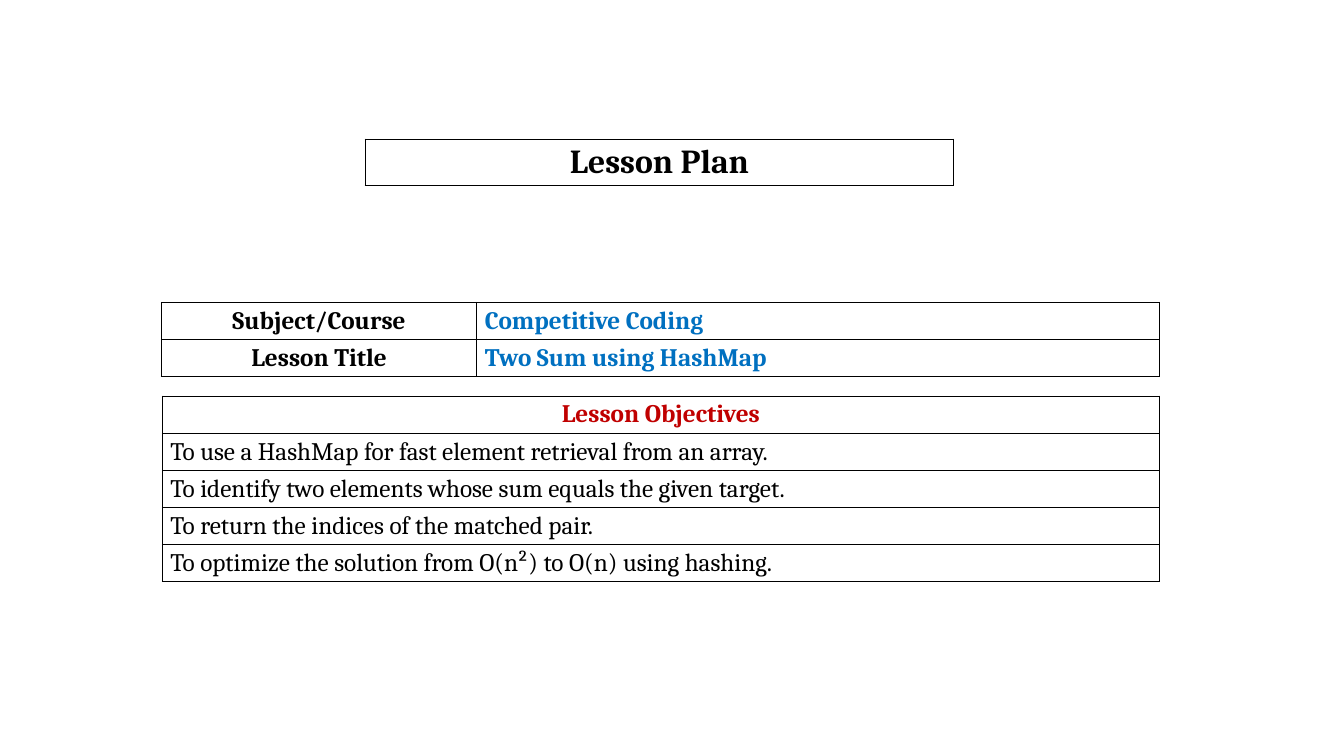
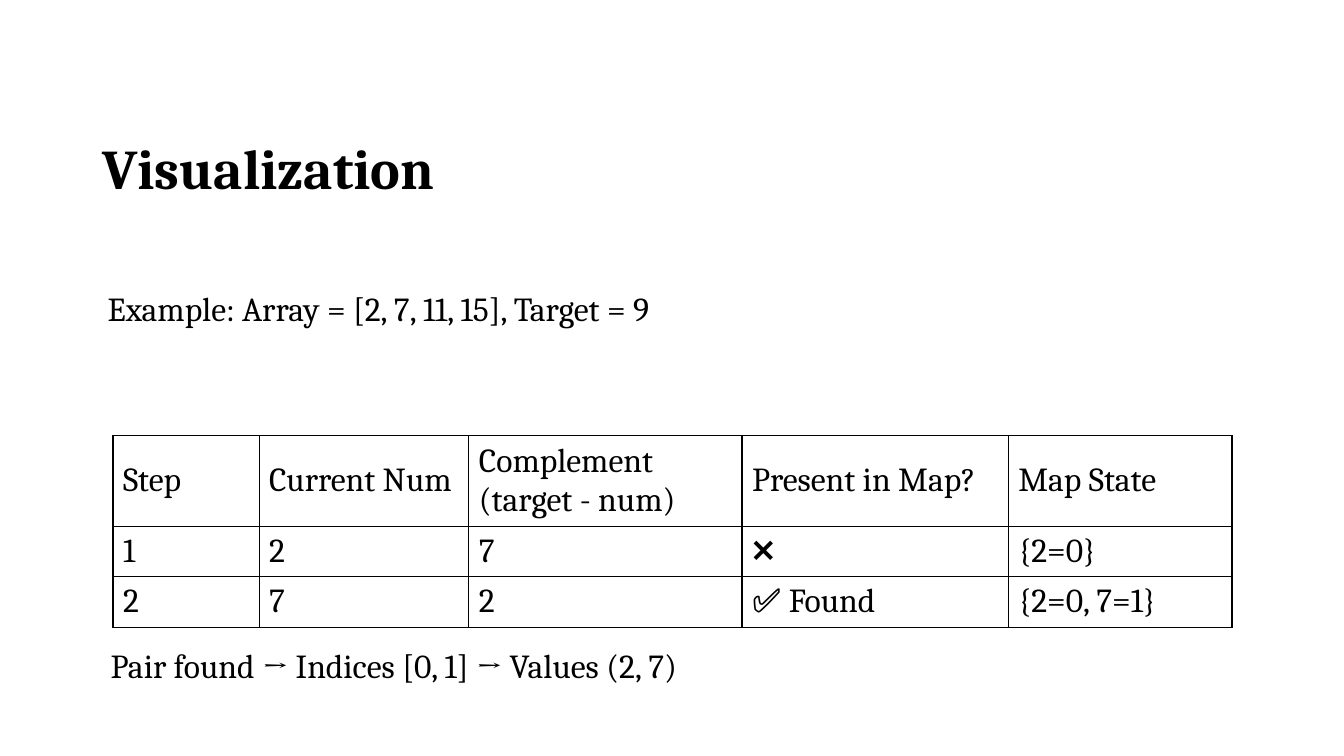
"""Build a two-slide lesson plan on solving Two Sum with a HashMap."""
from dataclasses import dataclass

from lxml.etree import SubElement
from pptx import Presentation
from pptx.dml.color import RGBColor
from pptx.enum.text import MSO_ANCHOR, PP_ALIGN
from pptx.oxml.ns import qn
from pptx.slide import Slide
from pptx.table import _Cell
from pptx.text.text import _Paragraph
from pptx.util import Inches, Pt

FONT = "Cambria"
BLACK, WHITE, BLUE, RED = "000000", "FFFFFF", "0070C0", "C00000"
FRAME_SIDE = 3.28


@dataclass(frozen=True)
class Style:
    size: float
    color: str = BLACK
    bold: bool = False
    align: PP_ALIGN = PP_ALIGN.LEFT
    line_spacing: float | None = None


@dataclass(frozen=True)
class Entry:
    text: str
    style: Style


@dataclass(frozen=True)
class Grid:
    left: float
    top: float
    widths: list[float]
    heights: list[float]
    rows: list[list[Entry]]
    border: float = 0.77
    inset: float = 0.08
    fill: str | None = WHITE


@dataclass(frozen=True)
class TextLine:
    left: float
    top: float
    width: float
    height: float
    entry: Entry
    anchor: MSO_ANCHOR = MSO_ANCHOR.TOP


BANNER = Style(24, bold=True, align=PP_ALIGN.CENTER)
LABEL = Style(18, bold=True, align=PP_ALIGN.CENTER)
TOPIC = Style(18, BLUE, bold=True)
OBJECTIVES_HEAD = Style(18, RED, bold=True, align=PP_ALIGN.CENTER)
OBJECTIVE = Style(18)
HEADING = Style(40, bold=True, line_spacing=0.9)
BODY = Style(24)

COURSE = [("Subject/Course", "Competitive Coding"),
          ("Lesson Title", "Two Sum using HashMap")]
OBJECTIVES = [
    "To use a HashMap for fast element retrieval from an array.",
    "To identify two elements whose sum equals the given target.",
    "To return the indices of the matched pair.",
    "To optimize the solution from O(n²) to O(n) using hashing.",
]
STEPS = [
    ("Step", "Current Num", "Complement (target - num)", "Present in Map?", "Map State"),
    ("1", "2", "7", "❌", "{2=0}"),
    ("2", "7", "2", "✅ Found", "{2=0, 7=1}"),
]

PLAN_GRIDS = [
    Grid(3.62, 1.38, [5.84], [0.39], [[Entry("Lesson Plan", BANNER)]]),
    Grid(1.6, 3, [3.13, 6.77], [0.18] * len(COURSE),
         [[Entry(label, LABEL), Entry(topic, TOPIC)] for label, topic in COURSE]),
    Grid(1.61, 3.93, [9.89], [0.23] * 3 + [0.35] * 2,
         [[Entry("Lesson Objectives", OBJECTIVES_HEAD)]]
         + [[Entry(goal, OBJECTIVE)] for goal in OBJECTIVES]),
]
STEP_GRID = Grid(1.12, 4.32, [1.45, 2.08, 2.71, 2.64, 2.22], [0.33] * len(STEPS),
                 [[Entry(value, BODY) for value in step] for step in STEPS],
                 border=1, inset=0.1, fill=None)
VISUAL_LINES = [
    TextLine(0.92, 0.97, 11.5, 1.45, Entry("Visualization", HEADING), MSO_ANCHOR.MIDDLE),
    TextLine(0.97, 2.81, 10.94, 0.5, Entry("Example: Array = [2, 7, 11, 15], Target = 9", BODY)),
    TextLine(1, 6.35, 10.94, 0.5, Entry("Pair found → Indices [0, 1] → Values (2, 7)", BODY)),
]


def rgb(color: str) -> RGBColor:
    """Turn a hex string into a colour."""
    return RGBColor.from_string(color)


def write(paragraph: _Paragraph, entry: Entry) -> None:
    """Put an entry into a paragraph and format it."""
    style = entry.style
    paragraph.text = entry.text
    paragraph.alignment = style.align
    paragraph.line_spacing = style.line_spacing
    for run in paragraph.runs:
        run.font.name = FONT
        run.font.size = Pt(style.size)
        run.font.bold = style.bold
        run.font.color.rgb = rgb(style.color)


def outline(cell: _Cell, width: float) -> None:
    """Draw a black border on all four sides of a cell."""
    properties = cell._tc.get_or_add_tcPr()
    for side in ("a:lnL", "a:lnR", "a:lnT", "a:lnB"):
        line = SubElement(properties, qn(side), w=str(int(Pt(width))))
        SubElement(SubElement(line, qn("a:solidFill")), qn("a:srgbClr"), val=BLACK)


def paint(cell: _Cell, color: str | None) -> None:
    """Fill a cell with a colour, or leave it clear."""
    if color is None:
        cell.fill.background()
    else:
        cell.fill.solid()
        cell.fill.fore_color.rgb = rgb(color)


def add_grid(slide: Slide, grid: Grid) -> None:
    """Add a bordered table whose rows grow to fit their text."""
    frame = slide.shapes.add_table(
        len(grid.heights), len(grid.widths), Inches(grid.left), Inches(grid.top),
        Inches(FRAME_SIDE), Inches(FRAME_SIDE))
    table = frame.table
    table.first_row = table.horz_banding = False
    for column, width in zip(table.columns, grid.widths):
        column.width = Inches(width)
    for row, height, entries in zip(table.rows, grid.heights, grid.rows):
        row.height = Inches(height)
        for cell, entry in zip(row.cells, entries):
            cell.margin_left = cell.margin_right = Inches(grid.inset)
            cell.margin_top = cell.margin_bottom = Inches(grid.inset / 2)
            cell.vertical_anchor = MSO_ANCHOR.MIDDLE
            outline(cell, grid.border)
            paint(cell, grid.fill)
            write(cell.text_frame.paragraphs[0], entry)
    frame.width = frame.height = Inches(FRAME_SIDE)


def add_line(slide: Slide, line: TextLine) -> None:
    """Add a wrapped text box."""
    frame = slide.shapes.add_textbox(
        Inches(line.left), Inches(line.top), Inches(line.width), Inches(line.height)).text_frame
    frame.word_wrap = True
    frame.vertical_anchor = line.anchor
    write(frame.paragraphs[0], line.entry)


def main() -> None:
    """Build and save the presentation."""
    deck = Presentation()
    deck.slide_width, deck.slide_height = Inches(13.33), Inches(7.5)
    blank = deck.slide_layouts[6]

    plan = deck.slides.add_slide(blank)
    for grid in PLAN_GRIDS:
        add_grid(plan, grid)

    visualization = deck.slides.add_slide(blank)
    for line in VISUAL_LINES:
        add_line(visualization, line)
    add_grid(visualization, STEP_GRID)

    deck.save("out.pptx")


if __name__ == "__main__":
    main()
